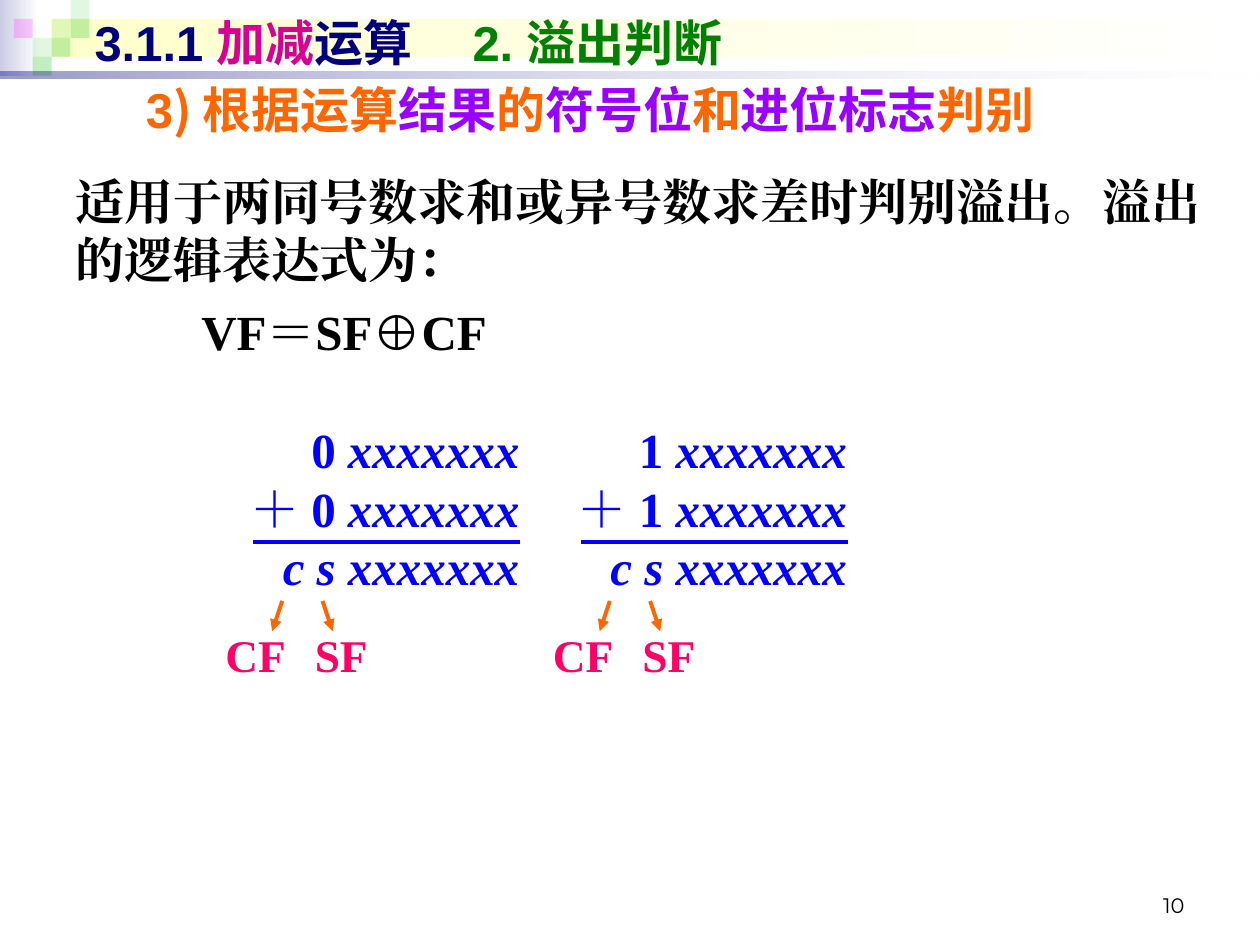
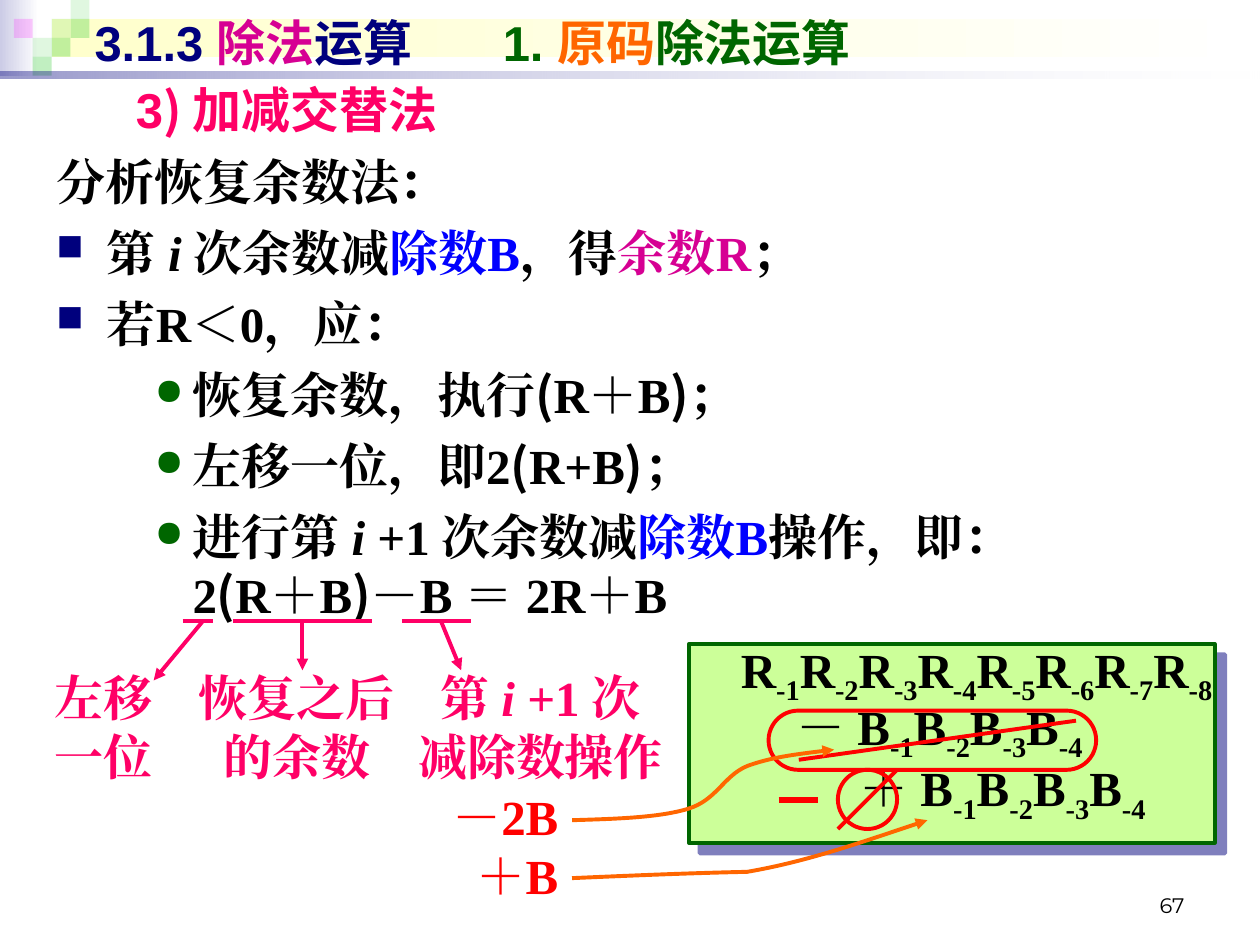
from lxml import etree
from pptx import Presentation
from pptx import util as u
from pptx.dml.color import RGBColor
from pptx.enum import shapes, text
from pptx.oxml.ns import qn


class Theme:
    navy, plum, green, pine = "00007D", "D60093", "008000", "006600"
    flame, grape, blue, rose = "FF6600", "9900FF", "0000FF", "FF0066"
    red, lime, ink, white = "FF0000", "CCFF99", "000000", "FFFFFF"
    mist, cream, leaf, pink = "CCCCE6", "FFFFCC", "33CC33", "FF00FF"
    sans, serif, han, plain = "Arial", "Times New Roman", "Noto Sans CJK SC", "Montserrat"
    main, label, small = 28, 25.9, 12
    lead, thin, thick = 1.2, 2.25, 3


T = Theme
PX = 9144
SHAPE, LINE = shapes.MSO_SHAPE, shapes.MSO_CONNECTOR.STRAIGHT
MID, LOW = text.MSO_ANCHOR.MIDDLE, text.MSO_ANCHOR.BOTTOM
LEFT, RIGHT, CENTER = text.PP_ALIGN.LEFT, text.PP_ALIGN.RIGHT, text.PP_ALIGN.CENTER


def put(box, at, rows, face=T.serif, size=T.main, align=LEFT, anchor=text.MSO_ANCHOR.TOP,
        gap=0, stop=None, bold=True, marks=None):
    box.left, box.top, box.width, box.height = [v * PX for v in at]
    frame = box.text_frame
    frame.word_wrap = True
    frame.auto_size = text.MSO_AUTO_SIZE.NONE
    frame.vertical_anchor = anchor
    for n, row in enumerate(rows):
        par = frame.paragraphs[0] if n == 0 else frame.add_paragraph()
        props = par._p.get_or_add_pPr()
        if marks:
            margin, hang, sign, tint = marks[n]
            props.set("marL", str(margin * PX))
            props.set("indent", str(-hang * PX))
            if sign:
                color = etree.SubElement(props, qn("a:buClr"))
                etree.SubElement(color, qn("a:srgbClr"), val=tint)
                etree.SubElement(props, qn("a:buSzPct"), val="75000")
                etree.SubElement(props, qn("a:buChar"), char=sign)
        if stop:
            tabs = etree.SubElement(props, qn("a:tabLst"))
            etree.SubElement(tabs, qn("a:tab"), pos=str(stop * PX), algn="l")
        par.alignment = align
        par.line_spacing = u.Pt(size * T.lead)
        par.space_before = u.Pt(gap if n else 0)
        for words, tint, *flags in row:
            for k, part in enumerate(words.split("\n")):
                if k:
                    par.add_line_break()
                run = par.add_run()
                run.text = part
                font = run.font
                font.size, font.bold, font.italic = u.Pt(size), bold, "i" in flags
                font.color.rgb = RGBColor.from_string(tint)
                font.name = T.han if "han" in flags else face
                attrs = run._r.get_or_add_rPr()
                attrs.set("lang", "zh-CN")
                if "sub" in flags:
                    attrs.set("baseline", "-25000")
                etree.SubElement(attrs, qn("a:ea"), typeface=font.name)


def stroke(item, tint, width=T.thin, head=False):
    item.line.color.rgb = RGBColor.from_string(tint)
    item.line.width = u.Pt(width)
    props = item.element.spPr
    if head:
        etree.SubElement(props.find(qn("a:ln")), qn("a:tailEnd"), type="triangle")
    return etree.SubElement(props, qn("a:effectLst"))


deck = Presentation()
deck.slide_width, deck.slide_height = 1000 * PX, 750 * PX

bands = [
    (0, 0, 31, 60, [(T.white, 100), (T.mist, 100)]),
    (41, 15, 955, 30, [(T.white, 100), (T.cream, 100)]),
    (41, 15, 15, 15, [(T.leaf, 15)]),
    (56, 0, 15, 15, [(T.leaf, 15)]),
    (56, 15, 15, 15, [(T.leaf, 30)]),
    (26, 30, 15, 15, [(T.leaf, 15)]),
    (11, 15, 15, 15, [(T.pink, 20)]),
    (41, 30, 15, 15, [(T.leaf, 30)]),
    (26, 45, 15, 15, [(T.leaf, 30)]),
    (0, 57, 1000, 5, [(T.white, 10), (T.navy, 40)]),
]
heads = [
    ("10", 300, 106,
     [("3.1.1 ", T.navy), ("加减", T.plum), ("运算\t", T.navy), ("2. 溢出判断", T.green)],
     [("3", T.flame), (") ", T.flame, "han"), ("根据运算", T.flame), ("结果", T.grape),
      ("的", T.flame), ("符号位", T.grape), ("和", T.flame), ("进位标志", T.grape),
      ("判别", T.flame)]),
    ("67", 324, 98,
     [("3.1.3 ", T.navy), ("除法", T.plum), ("运算\t", T.navy), ("1. ", T.pine),
      ("原码", T.flame), ("除法运算", T.pine)],
     [("3", T.rose), (") ", T.rose, "han"), ("加减交替法", T.rose)]),
]
pages = []
for count, stop, left, title, topic in heads:
    page = deck.slides.add_slide(deck.slide_layouts[5]).shapes
    pages.append(page)
    for x, y, w, h, stops in bands:
        band = page.add_shape(SHAPE.RECTANGLE, x * PX, y * PX, w * PX, h * PX)
        band.shadow.inherit = False
        band.line.fill.background()
        if len(stops) == 1:
            band.fill.solid()
            band.fill.fore_color.rgb = RGBColor.from_string(stops[0][0])
        else:
            band.fill.gradient()
            band.fill.gradient_angle = 180
            for mark, (tint, _) in zip(band.fill.gradient_stops, stops):
                mark.color.rgb = RGBColor.from_string(tint)
        for color, (_, alpha) in zip(band.element.spPr.iter(qn("a:srgbClr")), stops):
            etree.SubElement(color, qn("a:alpha"), val=str(alpha * 1000))
    put(page.add_textbox(0, 0, 0, 0), (717, 683, 233, 50), [[(count, T.ink)]],
        T.plain, T.small, RIGHT, LOW, bold=False)
    put(page.title, (65, 5, 900, 57), [title], T.sans, anchor=MID, stop=stop)
    page._spTree.append(page.title.element)
    put(page.add_textbox(0, 0, 0, 0), (left, 58, 868, 57), [topic], T.sans, anchor=MID)

page = pages[0]
put(page.add_textbox(0, 0, 0, 0), (50, 131, 930, 165), [
    [("适用于两同号数求和或异号数求差时判别溢出。溢出的逻辑表达式为：", T.ink)],
    [("\tVF＝SF⊕CF", T.ink)],
], gap=7, stop=100)

for digit, x in (("0", 146), ("1", 406)):
    put(page.add_textbox(0, 0, 0, 0), (x, 328, 276, 150), [
        [(digit + " ", T.blue), ("xxxxxxx", T.blue, "i")],
        [("＋ " + digit + " ", T.blue), ("xxxxxxx", T.blue, "i")],
        [("c s xxxxxxx", T.blue, "i")],
    ], align=RIGHT)
    rule = page.add_connector(LINE, (x + 55) * PX, 430 * PX, (x + 267) * PX, 430 * PX)
    stroke(rule, T.blue)
    for flag, shift, start, end in (("SF", 94, 110, 118), ("CF", 23, 78, 70)):
        put(page.add_textbox(0, 0, 0, 0), (x + shift, 493, 87, 55), [[(flag, T.rose)]],
            size=T.label)
        arrow = page.add_connector(LINE, (x + start) * PX, 477 * PX, (x + end) * PX, 501 * PX)
        stroke(arrow, T.flame, head=True)

page = pages[1]
square, dot = (40, 40, "■", T.navy), (108, 30, "●", T.pine)
total = [("(", T.ink, "han"), ("R＋B", T.ink), (")", T.ink, "han")]
put(page.add_textbox(0, 0, 0, 0), (35, 115, 906, 614), [
    [("分析恢复余数法：", T.ink)],
    [("第 ", T.ink), ("i ", T.ink, "i"), ("次余数减", T.ink), ("除数B", T.blue),
     ("，得", T.ink), ("余数R", T.plum), ("；", T.ink)],
    [("若R＜0，应：", T.ink)],
    [("恢复余数，执行", T.ink), *total, ("；", T.ink)],
    [("左移一位，即2", T.ink), ("(", T.ink, "han"), ("R+B", T.ink), (")", T.ink, "han"),
     ("；", T.ink)],
    [("进行第 ", T.ink), ("i ", T.ink, "i"), ("+1 次余数减", T.ink), ("除数B", T.blue),
     ("操作，即：\n2", T.ink), *total, ("－B ＝ 2R＋B", T.ink)],
], gap=7, marks=[(40, 40, None, None), square, square, dot, dot, dot])

for x, w, words in (
    (145, 181, [("恢复之后的余数", T.rose)]),
    (27, 110, [("左移一位", T.rose)]),
    (319, 220, [("第 ", T.rose), ("i ", T.rose, "i"), ("+1 次\n减除数操作", T.rose)]),
):
    put(page.add_textbox(0, 0, 0, 0), (x, 525, w, 104), [words], align=CENTER)

for x, y, right, low, head in (
    (145, 493, 169, 493, False), (185, 493, 295, 493, False), (319, 493, 374, 493, False),
    (161, 493, 122, 540, True), (240, 493, 240, 532, True), (350, 493, 366, 532, True),
):
    stroke(page.add_connector(LINE, x * PX, y * PX, right * PX, low * PX), T.rose, head=head)

panel = page.add_shape(SHAPE.RECTANGLE, 547 * PX, 511 * PX, 417 * PX, 158 * PX)
panel.fill.solid()
panel.fill.fore_color.rgb = RGBColor.from_string(T.lime)
glow = etree.SubElement(stroke(panel, T.pine), qn("a:outerShdw"), blurRad="0",
                        dist=str(u.Pt(8.5)), dir="2700000", algn="tl", rotWithShape="0")
shade = etree.SubElement(glow, qn("a:srgbClr"), val=T.navy)
etree.SubElement(shade, qn("a:alpha"), val="50000")

for at, sign, name, last in (
    ((531, 509, 441, 63), "", "R", 8),
    ((563, 554, 306, 63), "－ ", "B", 4),
    ((595, 603, 324, 63), "＋ ", "B", 4),
):
    row = []
    for n in range(1, last + 1):
        row += [((sign if n == 1 else "") + name, T.ink), (f"-{n}", T.ink, "sub")]
    put(page.add_textbox(0, 0, 0, 0), at, [row], align=RIGHT)

for kind, x, y, w, h in (
    (SHAPE.ROUNDED_RECTANGLE, 610, 564, 260, 47),
    (SHAPE.OVAL, 665, 611, 47, 47),
):
    ring = page.add_shape(kind, x * PX, y * PX, w * PX, h * PX)
    if kind == SHAPE.ROUNDED_RECTANGLE:
        ring.adjustments[0] = 0.5
    ring.fill.background()
    stroke(ring, T.red)

for x, y, right, low, width in (
    (634, 603, 854, 572, T.thin), (665, 658, 712, 611, T.thin), (618, 635, 649, 635, T.thick),
):
    stroke(page.add_connector(LINE, x * PX, y * PX, right * PX, low * PX), T.red, width)

for at, words in (((343, 666, 110, 57), "＋B"), ((319, 619, 134, 57), "－2B")):
    put(page.add_textbox(0, 0, 0, 0), at, [[(words, T.red)]], align=RIGHT)

for start, *bends in (
    [(454, 651), (488, 650), (523, 649), (546, 642), (569, 635), (574, 616), (593, 608),
     (612, 601), (637, 598), (662, 595)],
    [(454, 697), (500, 695), (547, 693), (593, 692), (640, 684), (688, 667), (736, 651)],
):
    pen = page.build_freeform(*start, scale=PX)
    pen.add_line_segments(bends, close=False)
    curve = pen.convert_to_shape()
    curve.fill.background()
    stroke(curve, T.flame, head=True)
    track = curve.element.spPr.find(".//" + qn("a:path"))
    legs = track.findall(qn("a:lnTo"))
    for n in range(0, len(legs), 3):
        bend = etree.SubElement(track, qn("a:cubicBezTo"))
        for leg in legs[n:n + 3]:
            bend.append(leg[0])
            track.remove(leg)

deck.save("out.pptx")
